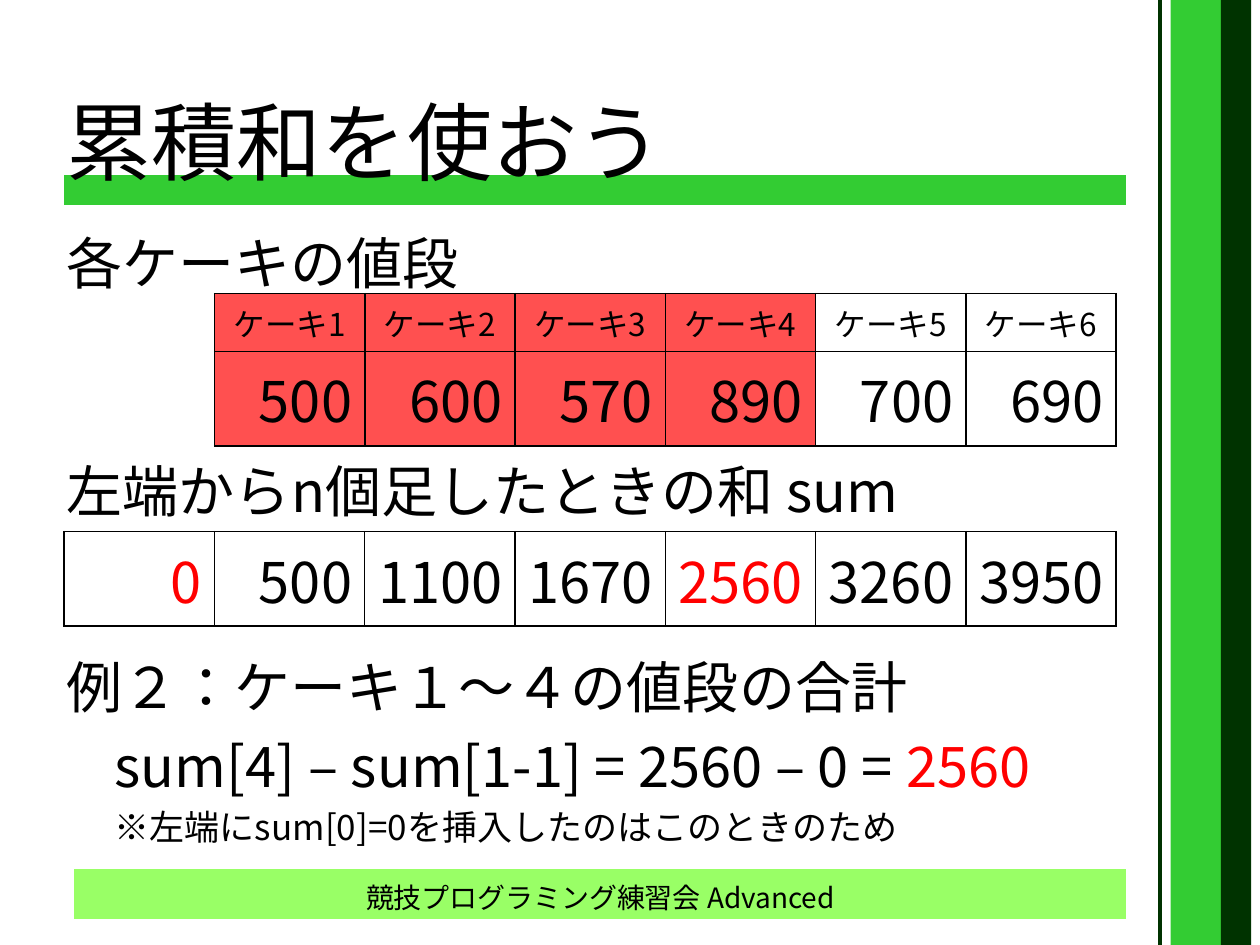
from dataclasses import dataclass

from lxml import etree
from pptx import Presentation
from pptx import util as u
from pptx.dml.color import RGBColor
from pptx.enum import lang, shapes, text
from pptx.oxml.ns import qn


@dataclass(frozen=True)
class Theme:
    font: str = "Noto Sans CJK JP"
    ink: str = "000000"
    white: str = "FFFFFF"
    accent: str = "FF0000"
    chosen: str = "FF5050"
    green: str = "33CC33"
    light_green: str = "99FF66"
    dark_green: str = "003300"
    title: float = 48.6
    body: int = 32
    note: int = 20
    label: int = 18
    footer: int = 16


THEME = Theme()
WIDTH, HEIGHT = 10, 7.5
GRID_LEFT, GRID_WIDTH = 0.51, 8.35
COLUMN = GRID_WIDTH / 7  # both tables share one column grid
LABEL_ROW, VALUE_ROW = 0.46, 0.75
HANGING = 0.38

PRICES = [500, 600, 570, 890, 700, 690]
CHOSEN_COUNT = 4        # cakes 1 to 4 are added up
RIGHT, CENTER, LEFT = text.PP_ALIGN.RIGHT, text.PP_ALIGN.CENTER, text.PP_ALIGN.LEFT


def apply(target, values):
    for name, value in values.items():
        setattr(target, name, value)


def inches(*lengths):
    return [u.Inches(length) for length in lengths]


def color(code):
    return RGBColor.from_string(code)


def write(paragraph, words, size, ink=THEME.ink):
    run = paragraph.add_run()
    run.text = words
    apply(run.font, {"size": u.Pt(size), "name": THEME.font,
                     "language_id": lang.MSO_LANGUAGE_ID.JAPANESE})
    run.font.color.rgb = color(ink)
    east_asian = etree.SubElement(run.font._element, qn("a:ea"))
    east_asian.set("typeface", THEME.font)


def place(placeholder, left, top, width, height):
    sides = ("left", "top", "width", "height")
    apply(placeholder, dict(zip(sides, inches(left, top, width, height))))


def add_band(slide, kind, box, fill):
    band = slide.shapes.add_shape(kind, *inches(*box))
    band.shadow.inherit = False
    band.fill.solid()
    band.fill.fore_color.rgb = color(fill)
    band.line.fill.background()
    if len(band.adjustments):
        band.adjustments[0] = 0


def add_rule(slide, x):
    rule = slide.shapes.add_connector(
        shapes.MSO_CONNECTOR.STRAIGHT, *inches(x, 0, x, HEIGHT))
    rule.line.color.rgb = color(THEME.dark_green)
    rule.line.width = u.Pt(2.25)
    etree.SubElement(rule._element.spPr, qn("a:effectLst"))


def add_decoration(slide):
    slanted = shapes.MSO_SHAPE.PARALLELOGRAM
    upright = shapes.MSO_SHAPE.RECTANGLE
    add_band(slide, slanted, (0.59, 6.9, 8.35, 0.39), THEME.light_green)
    add_band(slide, upright, (9.29, 0, 0.63, HEIGHT), THEME.green)
    add_band(slide, slanted, (GRID_LEFT, 1.39, 8.43, 0.24), THEME.green)
    add_rule(slide, 9.21)
    add_band(slide, upright, (9.69, 0, 0.24, HEIGHT), THEME.dark_green)


def add_title(slide, words):
    title = slide.shapes.title
    slide.shapes._spTree.append(title._element)  # in front of the green bar
    place(title, 0.43, 0.68, 10, 0.87)
    apply(title.text_frame, {"vertical_anchor": text.MSO_ANCHOR.MIDDLE,
                             "auto_size": text.MSO_AUTO_SIZE.NONE})
    paragraph = title.text_frame.paragraphs[0]
    paragraph.alignment = LEFT
    write(paragraph, words, THEME.title)


def add_body(slide, lines):
    """Each line: space before, line height, first-line indent, size, runs."""
    body = slide.placeholders[1]
    slide.shapes._spTree.append(body._element)
    place(body, 0.43, 1.78, 9.08, 5.43)
    frame = body.text_frame
    frame.auto_size = text.MSO_AUTO_SIZE.NONE
    for index, (before, height, indent, size, runs) in enumerate(lines):
        paragraph = frame.add_paragraph() if index else frame.paragraphs[0]
        apply(paragraph, {"space_before": u.Pt(before), "line_spacing": u.Pt(height)})
        properties = paragraph._p.get_or_add_pPr()
        properties.set("marL", str(u.Inches(HANGING)))
        properties.set("indent", str(u.Inches(indent)))
        etree.SubElement(properties, qn("a:buNone"))
        for words, ink in runs:
            write(paragraph, words, size, ink)


def add_footer(slide, words):
    footer = slide.shapes.add_textbox(*inches(0.59, 6.9, 8.35, 0.45)).text_frame
    apply(footer, {"word_wrap": True, "vertical_anchor": text.MSO_ANCHOR.MIDDLE})
    footer.paragraphs[0].alignment = CENTER
    write(footer.paragraphs[0], words, THEME.footer)


def add_borders(cell):
    properties = cell._tc.get_or_add_tcPr()
    for position, side in enumerate(("lnL", "lnR", "lnT", "lnB")):
        border = etree.Element(qn("a:" + side), w=str(u.Pt(1)))
        solid = etree.SubElement(border, qn("a:solidFill"))
        etree.SubElement(solid, qn("a:srgbClr"), val=THEME.ink)
        properties.insert(position, border)


def add_grid(slide, first_column, top, rows):
    """Each row: height, size, alignment, cells of (words, ink, fill)."""
    count = len(rows[0][3])
    table = slide.shapes.add_table(
        len(rows), count,
        *inches(GRID_LEFT + first_column * COLUMN, top,
                count * COLUMN, sum(row[0] for row in rows))).table
    apply(table, {"first_row": False, "horz_banding": False})
    for column in table.columns:
        column.width = u.Inches(COLUMN)
    for r, (height, size, alignment, cells) in enumerate(rows):
        table.rows[r].height = u.Inches(height)
        for c, (words, ink, fill) in enumerate(cells):
            cell = table.cell(r, c)
            cell.fill.solid()
            cell.fill.fore_color.rgb = color(fill)
            add_borders(cell)
            paragraph = cell.text_frame.paragraphs[0]
            paragraph.alignment = alignment
            write(paragraph, str(words), size, ink)


def main():
    deck = Presentation()
    apply(deck, {"slide_width": u.Inches(WIDTH), "slide_height": u.Inches(HEIGHT)})
    slide = deck.slides.add_slide(deck.slide_layouts[1])

    add_decoration(slide)
    add_title(slide, "累積和を使おう")

    # Spacing leaves room for the two tables
    ink, accent = THEME.ink, THEME.accent
    add_body(slide, [
        (0, 37.5, -HANGING, THEME.body, [("各ケーキの値段", ink)]),
        (89, 41, -HANGING, THEME.body, [("左端からn個足したときの和 sum", ink)]),
        (71, 41, -HANGING, THEME.body, [("例２：ケーキ１～４の値段の合計", ink)]),
        (4, 41, 0, THEME.body,
         [("sum[4] – sum[1-1] = 2560 – 0 = ", ink), ("2560", accent)]),
        (2, 26, 0, THEME.note,
         [("※左端にsum[0]=0を挿入したのはこのときのため", ink)]),
    ])
    add_footer(slide, "競技プログラミング練習会 Advanced")

    # Running totals, with the two ends of the example marked
    totals = [sum(PRICES[:n]) for n in range(len(PRICES) + 1)]
    add_grid(slide, 0, 4.22, [(VALUE_ROW, THEME.body, RIGHT, [
        (total, accent if n in (0, CHOSEN_COUNT) else ink, THEME.white)
        for n, total in enumerate(totals)])])

    # Prices, with the cakes of the example filled
    fills = [THEME.chosen if n < CHOSEN_COUNT else THEME.white
             for n in range(len(PRICES))]
    labels = [(f"ケーキ{n}", ink, fill) for n, fill in enumerate(fills, 1)]
    prices = [(price, ink, fill) for price, fill in zip(PRICES, fills)]
    add_grid(slide, 1, 2.33, [(LABEL_ROW, THEME.label, CENTER, labels),
                              (VALUE_ROW, THEME.body, RIGHT, prices)])

    deck.save("out.pptx")


if __name__ == "__main__":
    main()
